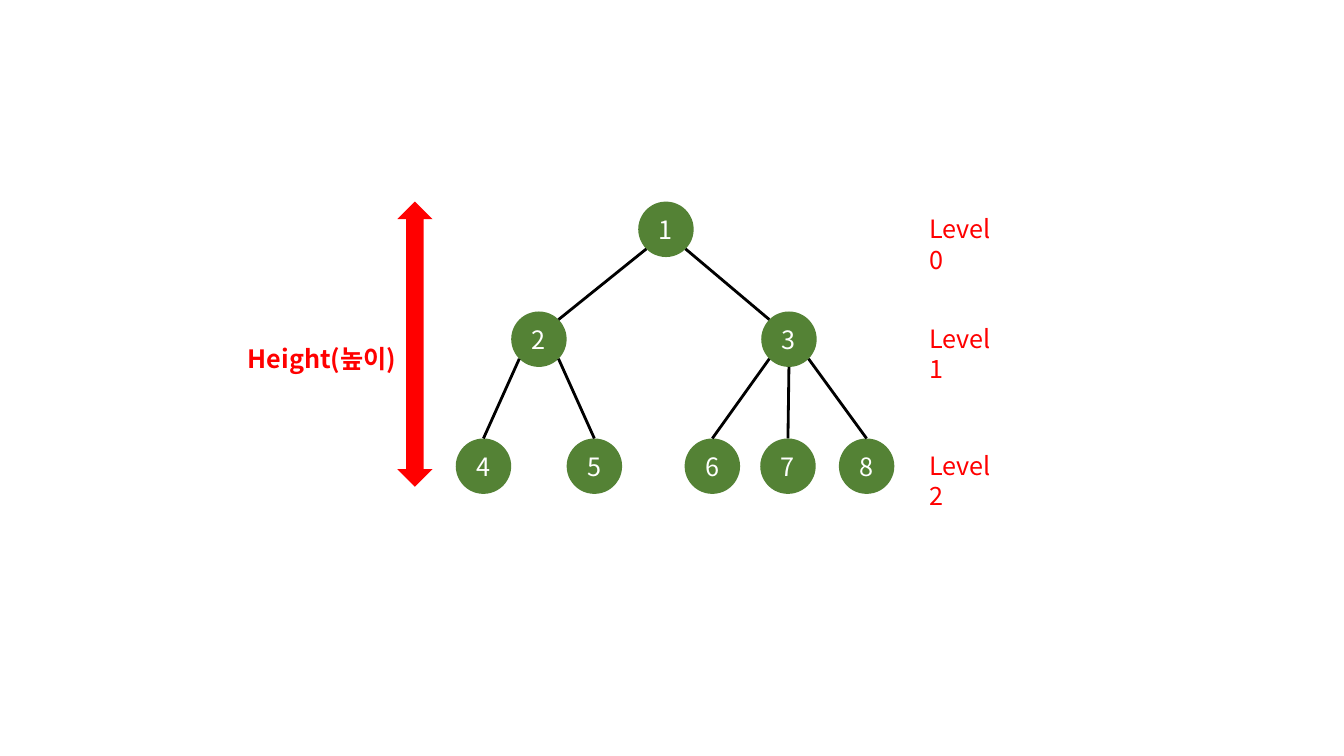
from math import cos, radians, sin

from lxml import etree
from pptx import Presentation
from pptx.dml.color import RGBColor
from pptx.enum.shapes import MSO_CONNECTOR, MSO_SHAPE
from pptx.enum.text import MSO_ANCHOR, MSO_AUTO_SIZE, PP_ALIGN
from pptx.oxml.ns import qn
from pptx.util import Inches, Pt

FONT = "Noto Sans CJK KR"
GREEN, RED, BLACK, WHITE = "548235", "FF0000", "000000", "FFFFFF"
NODE = 0.55
LEVEL_TOPS = [0, 1.09, 2.35]
NODES = {
    1: (1.81, 0), 2: (0.55, 1), 3: (3.03, 1),
    4: (0, 2), 5: (1.1, 2), 6: (2.27, 2), 7: (3.02, 2), 8: (3.8, 2),
}
EDGES = [
    (1, 2, 135, -45), (1, 3, 45, -135),
    (2, 4, 135, -90), (2, 5, 45, -90),
    (3, 6, 135, -90), (3, 7, 90, -90), (3, 8, 45, -90),
]


def color(value):
    return RGBColor.from_string(value)


def write(shape, text, rgb, bold=False):
    p = shape.text_frame.paragraphs[0]
    r = p.add_run()
    r.text = text
    for name, value in {"name": FONT, "size": Pt(18), "bold": bold}.items():
        setattr(r.font, name, value)
    r.font.color.rgb = color(rgb)
    etree.SubElement(r.font._element, qn("a:ea"), typeface=FONT)
    return p


def add_solid(s, kind, box, rgb):
    sp = s.shapes.add_shape(kind, *map(Inches, box))
    sp.shadow.inherit = False
    sp.fill.solid()
    sp.fill.fore_color.rgb = color(rgb)
    sp.line.fill.background()
    return sp


def add_label(s, text, box, bold=False, wrap=False):
    tb = s.shapes.add_textbox(*map(Inches, box))
    write(tb, text, RED, bold)
    tb.text_frame.word_wrap = wrap
    tb.text_frame.auto_size = MSO_AUTO_SIZE.SHAPE_TO_FIT_TEXT


def draw_tree(s, left, top):
    def rim(node, angle):
        x, level = NODES[node]
        radius = NODE / 2
        return (
            Inches(left + x + radius * (1 + cos(radians(angle)))),
            Inches(top + LEVEL_TOPS[level] + radius * (1 + sin(radians(angle)))),
        )

    for node, (x, level) in NODES.items():
        box = (left + x, top + LEVEL_TOPS[level], NODE, NODE)
        sp = add_solid(s, MSO_SHAPE.OVAL, box, GREEN)
        sp.text_frame.vertical_anchor = MSO_ANCHOR.MIDDLE
        write(sp, str(node), WHITE).alignment = PP_ALIGN.CENTER

    for parent, child, start, end in EDGES:
        edge = s.shapes.add_connector(
            MSO_CONNECTOR.STRAIGHT, *rim(parent, start), *rim(child, end))
        edge.line.color.rgb = color(BLACK)
        edge.line.width = Pt(2)
        etree.SubElement(edge._element.spPr, qn("a:effectLst"))


def draw_levels(s, left, top):
    for level, offset in enumerate(LEVEL_TOPS):
        add_label(s, f"Level {level}", (left, top + offset, 1, 0.4))


def draw_height(s, left, top, height):
    add_solid(s, MSO_SHAPE.UP_DOWN_ARROW, (left + 1.58, top, 0.35, height), RED)
    add_label(s, "Height(높이)", (left, top + 1.36, 1.7, 0.4), bold=True, wrap=True)


def main():
    prs = Presentation()
    prs.slide_width, prs.slide_height = Inches(13.33), Inches(7.5)
    s = prs.slides.add_slide(prs.slide_layouts[6])
    draw_tree(s, 4.52, 2)
    draw_levels(s, 9.12, 2.07)
    draw_height(s, 2.36, 2, 2.83)
    prs.save("out.pptx")


if __name__ == "__main__":
    main()
